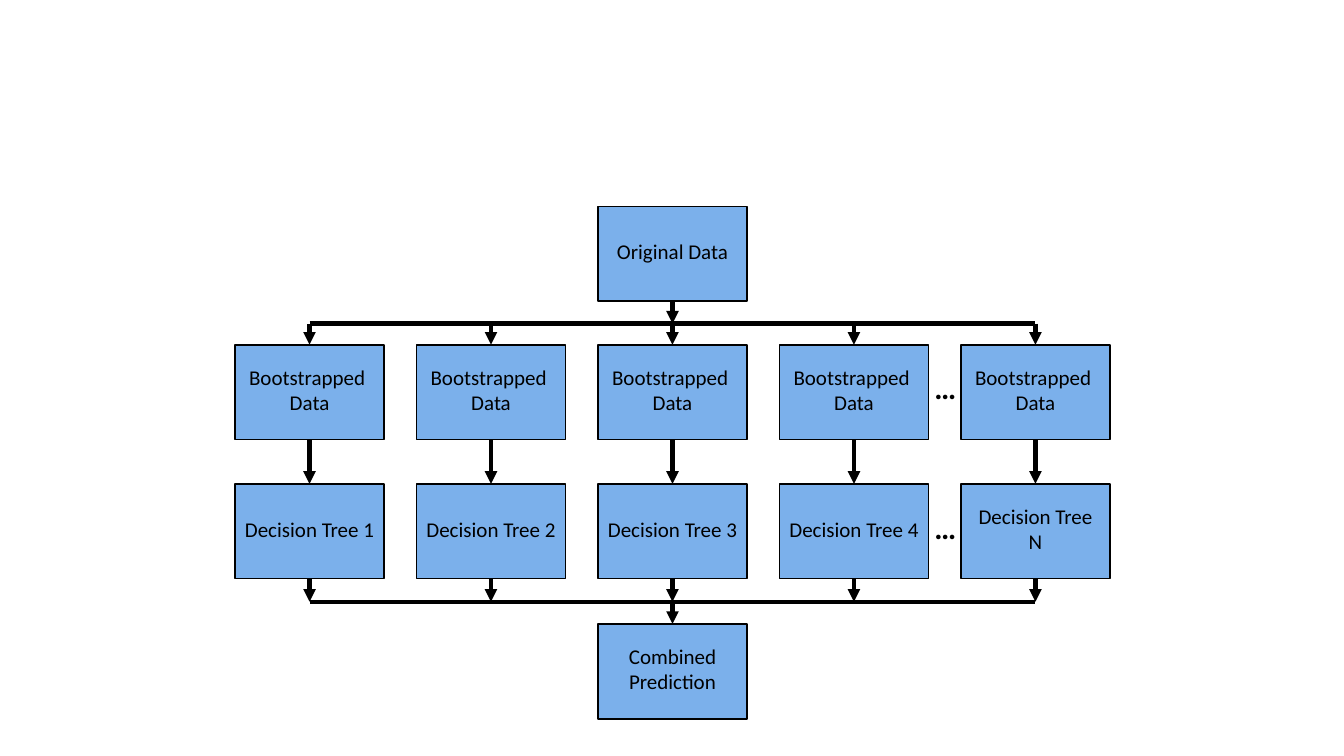
"""Build a slide showing bootstrapped decision trees merged into one prediction."""
from lxml import etree
from pptx import Presentation
from pptx.dml.color import RGBColor
from pptx.enum.shapes import MSO_CONNECTOR, MSO_SHAPE
from pptx.enum.text import MSO_ANCHOR, PP_ALIGN
from pptx.oxml.ns import qn
from pptx.util import Inches, Pt

RECTANGLE = MSO_SHAPE.RECTANGLE
STRAIGHT = MSO_CONNECTOR.STRAIGHT
MIDDLE = MSO_ANCHOR.MIDDLE
CENTER = PP_ALIGN.CENTER
BLACK = RGBColor(0x00, 0x00, 0x00)
BLUE = RGBColor(0x7B, 0xB0, 0xEB)

BOX_WIDTH, BOX_HEIGHT = 1.48, 0.94
FIRST_LEFT, COLUMN_STEP = 2.33, 1.8
ORIGINAL_TOP, DATA_TOP, TREE_TOP, PREDICTION_TOP = 2.05, 3.42, 4.8, 6.19
SPLIT_Y, MERGE_Y = 3.21, 5.97
TOP_SIDE, BOTTOM_SIDE = 0, 2
FRAME_FORMAT = {
    "word_wrap": True,
    "vertical_anchor": MIDDLE,
    "margin_left": Inches(0.05),
    "margin_right": Inches(0.05),
    "margin_top": Inches(0.05),
    "margin_bottom": Inches(0.1),
}
BOX_FONT = {"name": "Calibri", "size": Pt(15), "bold": False}
DOTS_FONT = {"name": "Calibri", "size": Pt(22), "bold": True}

presentation = Presentation()
presentation.slide_width = Inches(13.33)
presentation.slide_height = Inches(7.5)
slide = presentation.slides.add_slide(presentation.slide_layouts[6])


def write_text(shape, text, font_format):
    frame = shape.text_frame
    for name, value in FRAME_FORMAT.items():
        setattr(frame, name, value)
    frame.text = text
    for paragraph in frame.paragraphs:
        paragraph.alignment = CENTER
        paragraph.font.color.rgb = BLACK
        for run in paragraph.runs:
            run.font.color.rgb = BLACK
            for name, value in font_format.items():
                setattr(run.font, name, value)


def add_line(start, end, source=None, target=None, arrow=True):
    points = [Inches(value) for value in (*start, *end)]
    connector = slide.shapes.add_connector(STRAIGHT, *points)
    connector.line.color.rgb = BLACK
    connector.line.width = Pt(3)
    if source is not None:
        connector.begin_connect(source, BOTTOM_SIDE)
    if target is not None:
        connector.end_connect(target, TOP_SIDE)
    if arrow:
        line = connector.line._get_or_add_ln()
        etree.SubElement(line, qn("a:tailEnd"), type="triangle")
    etree.SubElement(connector._element.spPr, qn("a:effectLst"))


lefts = [FIRST_LEFT + COLUMN_STEP * column for column in range(5)]
centers = [left + BOX_WIDTH / 2 for left in lefts]
middle = centers[2]
tree_names = ["Decision Tree 1", "Decision Tree 2", "Decision Tree 3",
              "Decision Tree 4", "Decision Tree\vN"]

box_plan = [("Original Data", lefts[2], ORIGINAL_TOP),
            ("Combined Prediction", lefts[2], PREDICTION_TOP)]
box_plan += [("Bootstrapped \nData", left, DATA_TOP) for left in lefts]
box_plan += [(name, left, TREE_TOP) for name, left in zip(tree_names, lefts)]

boxes = []
for text, left, top in box_plan:
    box = slide.shapes.add_shape(RECTANGLE, Inches(left), Inches(top),
                                 Inches(BOX_WIDTH), Inches(BOX_HEIGHT))
    box.shadow.inherit = False
    box.fill.solid()
    box.fill.fore_color.rgb = BLUE
    box.line.color.rgb = BLACK
    box.line.width = Pt(1.25)
    write_text(box, text, BOX_FONT)
    boxes.append(box)
original, prediction = boxes[:2]
data_boxes, tree_boxes = boxes[2:7], boxes[7:]

for top in (DATA_TOP, TREE_TOP):
    dots = slide.shapes.add_textbox(Inches(9.18), Inches(top + 0.26),
                                    Inches(0.39), Inches(0.43))
    write_text(dots, "…", DOTS_FONT)
    dots.text_frame.paragraphs[0].line_spacing = 0.9

for y in (SPLIT_Y, MERGE_Y):
    add_line((centers[0], y), (centers[-1], y), arrow=False)

add_line((middle, ORIGINAL_TOP + BOX_HEIGHT), (middle, SPLIT_Y), source=original)
add_line((middle, MERGE_Y), (middle, PREDICTION_TOP), target=prediction)
for center, data_box, tree_box in zip(centers, data_boxes, tree_boxes):
    add_line((center, SPLIT_Y), (center, DATA_TOP), target=data_box)
    add_line((center, DATA_TOP + BOX_HEIGHT), (center, TREE_TOP), data_box, tree_box)
    add_line((center, TREE_TOP + BOX_HEIGHT), (center, MERGE_Y), source=tree_box)

presentation.save("out.pptx")
